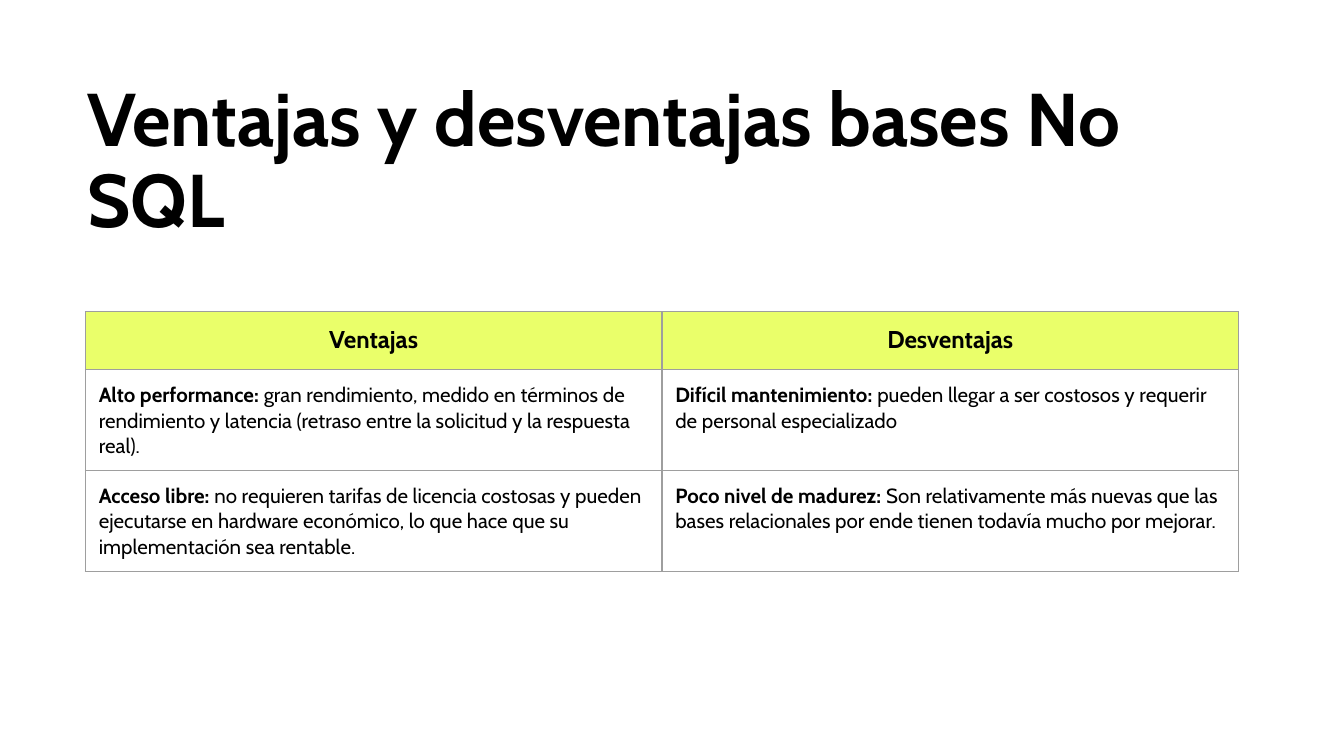
from dataclasses import dataclass

from lxml.etree import SubElement
from pptx import Presentation
from pptx.dml.color import RGBColor
from pptx.enum.text import MSO_ANCHOR, MSO_AUTO_SIZE, PP_ALIGN
from pptx.oxml.ns import qn
from pptx.util import Emu, Pt

EMU_PER_PX = 4572  # 200 px to the inch


@dataclass(frozen=True)
class Theme:
    font: str = "Cabin"
    ink: str = "000000"
    header_fill: str = "EAFF6A"
    border: str = "9E9E9E"
    border_pt: float = 0.75
    title_pt: int = 40
    header_pt: int = 13
    body_pt: int = 11


THEME = Theme()
INSET = 20

TITLE = "Ventajas y desventajas bases No SQL"
HEADERS = ["Ventajas", "Desventajas"]
ROWS = [
    [
        ("Alto performance: ", "gran rendimiento, medido en términos de rendimiento y "
         "latencia (retraso entre la solicitud y la respuesta real)."),
        ("Difícil mantenimiento: ", "pueden llegar a ser costosos y requerir de personal "
         "especializado"),
    ],
    [
        ("Acceso libre: ", "no requieren tarifas de licencia costosas y pueden ejecutarse "
         "en hardware económico, lo que hace que su implementación sea rentable."),
        ("Poco nivel de madurez: ", "Son relativamente más nuevas que las bases "
         "relacionales por ende tienen todavía mucho por mejorar."),
    ],
]
COLUMN_WIDTH = 858
ROW_HEIGHTS = [86, 98, 130]


def px(n):
    return Emu(n * EMU_PER_PX)


def set_insets(box):
    box.margin_left = box.margin_top = box.margin_right = box.margin_bottom = px(INSET)


def add_run(p, text, size, bold):
    r = p.add_run()
    r.text = text
    r.font.name = THEME.font
    r.font.size = Pt(size)
    r.font.bold = bold
    r.font.color.rgb = RGBColor.from_string(THEME.ink)


def set_title(slide, text, left, top, width, height):
    sp = slide.shapes.title
    sp.left, sp.top, sp.width, sp.height = map(px, (left, top, width, height))
    tf = sp.text_frame
    tf.word_wrap = True
    tf.auto_size = MSO_AUTO_SIZE.SHAPE_TO_FIT_TEXT
    tf.vertical_anchor = MSO_ANCHOR.TOP
    set_insets(tf)
    p = tf.paragraphs[0]
    p.alignment = PP_ALIGN.LEFT
    p.line_spacing = 0.9
    add_run(p, text, THEME.title_pt, True)


def set_borders(cell):
    tc_pr = cell._tc.get_or_add_tcPr()
    for side in ("a:lnL", "a:lnR", "a:lnT", "a:lnB"):
        ln = SubElement(tc_pr, qn(side), w=str(Pt(THEME.border_pt)))
        fill = SubElement(ln, qn("a:solidFill"))
        SubElement(fill, qn("a:srgbClr"), val=THEME.border)


def format_cell(cell, fill=None):
    set_insets(cell)
    cell.vertical_anchor = MSO_ANCHOR.TOP
    set_borders(cell)
    if fill:
        cell.fill.solid()
        cell.fill.fore_color.rgb = RGBColor.from_string(fill)
    else:
        cell.fill.background()


def add_comparison_table(slide, left, top):
    table = slide.shapes.add_table(
        len(ROW_HEIGHTS), len(HEADERS), px(left), px(top),
        px(COLUMN_WIDTH * len(HEADERS)), px(sum(ROW_HEIGHTS))).table
    table.first_row = table.horz_banding = False
    for row, height in zip(table.rows, ROW_HEIGHTS):
        row.height = px(height)

    # Header row
    for col, header in enumerate(HEADERS):
        cell = table.cell(0, col)
        format_cell(cell, THEME.header_fill)
        p = cell.text_frame.paragraphs[0]
        p.alignment = PP_ALIGN.CENTER
        add_run(p, header, THEME.header_pt, True)

    # Body rows: bold term, then its explanation
    for i, entries in enumerate(ROWS, start=1):
        for col, (term, explanation) in enumerate(entries):
            cell = table.cell(i, col)
            format_cell(cell)
            p = cell.text_frame.paragraphs[0]
            p.alignment = PP_ALIGN.LEFT
            add_run(p, term, THEME.body_pt, True)
            add_run(p, explanation, THEME.body_pt, False)


def main():
    prs = Presentation()
    prs.slide_width, prs.slide_height = px(2000), px(1125)
    slide = prs.slides.add_slide(prs.slide_layouts.get_by_name("Title Only"))
    set_title(slide, TITLE, 110, 102, 1780, 282)
    add_comparison_table(slide, 127, 464)
    prs.save("out.pptx")


if __name__ == "__main__":
    main()
